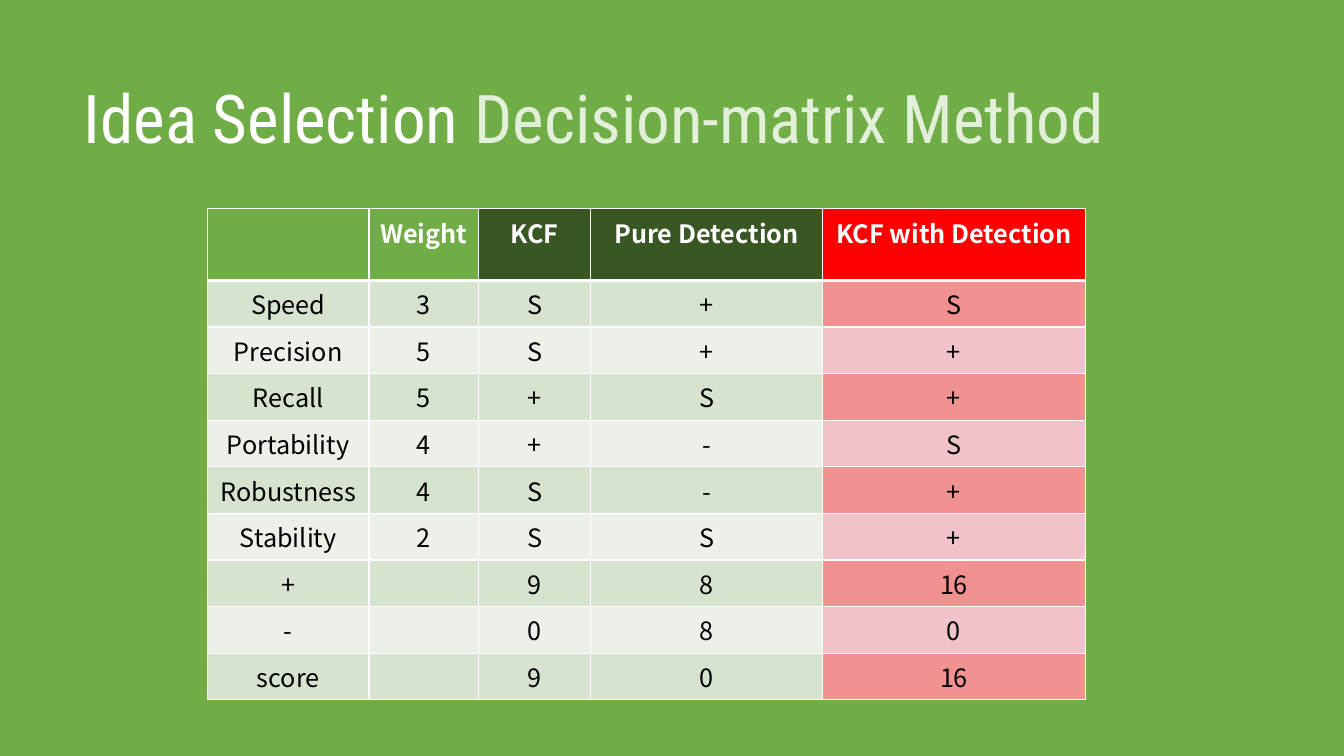
import pptx
import pptx.dml.color
import pptx.enum.text
import pptx.oxml
import pptx.oxml.ns
import pptx.util

Pt = pptx.util.Pt
GREEN, DARK_GREEN, RED = "70AD47", "385723", "FF0000"
WHITE, BLACK, PALE_GREEN = "FFFFFF", "000000", "E2F0D9"
HEADER_FILLS = [GREEN, GREEN, DARK_GREEN, DARK_GREEN, RED]
BAND_FILLS = [("D5E3CF", "F19290"), ("EBF1E9", "F1C3C8")]
COLUMN_WIDTHS = [115.2, 78.5, 79.9, 165.6, 187.9]
HEADER_HEIGHT, ROW_HEIGHT = 51.1, 33.3
MATRIX = [
    ["", "Weight", "KCF", "Pure Detection", "KCF with Detection"],
    ["Speed", "3", "S", "+", "S"],
    ["Precision", "5", "S", "+", "+"],
    ["Recall", "5", "+", "S", "+"],
    ["Portability", "4", "+", "-", "S"],
    ["Robustness", "4", "S", "-", "+"],
    ["Stability", "2", "S", "S", "+"],
    ["+", "", "9", "8", "16"],
    ["-", "", "0", "8", "0"],
    ["score", "", "9", "0", "16"],
]
TITLE_FORMAT = {"name": "Roboto Condensed", "size": Pt(48), "bold": False}
CELL_FORMAT = {"name": "Noto Sans CJK SC", "size": Pt(18)}


def color(value):
    return pptx.dml.color.RGBColor.from_string(value)


def set_fill(target, value):
    target.fill.solid()
    target.fill.fore_color.rgb = color(value)


def add_run(paragraph, text, text_color, format_values):
    run = paragraph.add_run()
    run.text = text
    for name, value in format_values.items():
        setattr(run.font, name, value)
    run.font.color.rgb = color(text_color)


def set_borders(cell, widths):
    properties = cell._tc.get_or_add_tcPr()
    for position, (side, width) in enumerate(widths.items()):
        line = pptx.oxml.parse_xml(
            f'<a:ln{side} {pptx.oxml.ns.nsdecls("a")} w="{Pt(width)}">'
            f'<a:solidFill><a:srgbClr val="{WHITE}"/></a:solidFill></a:ln{side}>'
        )
        properties.insert(position, line)


def format_title(shape):
    shape.left, shape.top, shape.width, shape.height = Pt(52.6), Pt(50.4), Pt(817.9), Pt(65.5)
    frame = shape.text_frame
    frame.word_wrap = True
    frame.auto_size = pptx.enum.text.MSO_AUTO_SIZE.NONE
    frame.vertical_anchor = pptx.enum.text.MSO_ANCHOR.MIDDLE
    paragraph = frame.paragraphs[0]
    paragraph.alignment = pptx.enum.text.PP_ALIGN.LEFT
    add_run(paragraph, "Idea Selection ", WHITE, TITLE_FORMAT)
    add_run(paragraph, "Decision-matrix Method", PALE_GREEN, TITLE_FORMAT)


def fill_cell(cell, text, row, column):
    header = row == 0
    band = BAND_FILLS[(row - 1) % 2]
    set_fill(cell, HEADER_FILLS[column] if header else band[column == 4])
    set_borders(cell, {"L": 1, "R": 1, "T": 3 if row == 1 else 1, "B": 3 if header else 1})
    paragraph = cell.text_frame.paragraphs[0]
    paragraph.alignment = pptx.enum.text.PP_ALIGN.CENTER
    if text:
        add_run(paragraph, text, WHITE if header else BLACK, {**CELL_FORMAT, "bold": header})


def add_matrix(slide):
    heights = [HEADER_HEIGHT] + [ROW_HEIGHT] * (len(MATRIX) - 1)
    table = slide.shapes.add_table(
        len(MATRIX), len(COLUMN_WIDTHS), Pt(148.3), Pt(149.2),
        Pt(sum(COLUMN_WIDTHS)), Pt(sum(heights)),
    ).table
    for table_column, width in zip(table.columns, COLUMN_WIDTHS):
        table_column.width = Pt(width)
    for row, (texts, height) in enumerate(zip(MATRIX, heights)):
        table.rows[row].height = Pt(height)
        for column, text in enumerate(texts):
            fill_cell(table.cell(row, column), text, row, column)


def main():
    presentation = pptx.Presentation()
    presentation.slide_width, presentation.slide_height = Pt(960), Pt(540)
    slide = presentation.slides.add_slide(presentation.slide_layouts[5])
    set_fill(slide.background, GREEN)
    add_matrix(slide)
    format_title(slide.shapes.title)
    presentation.save("out.pptx")


if __name__ == "__main__":
    main()
